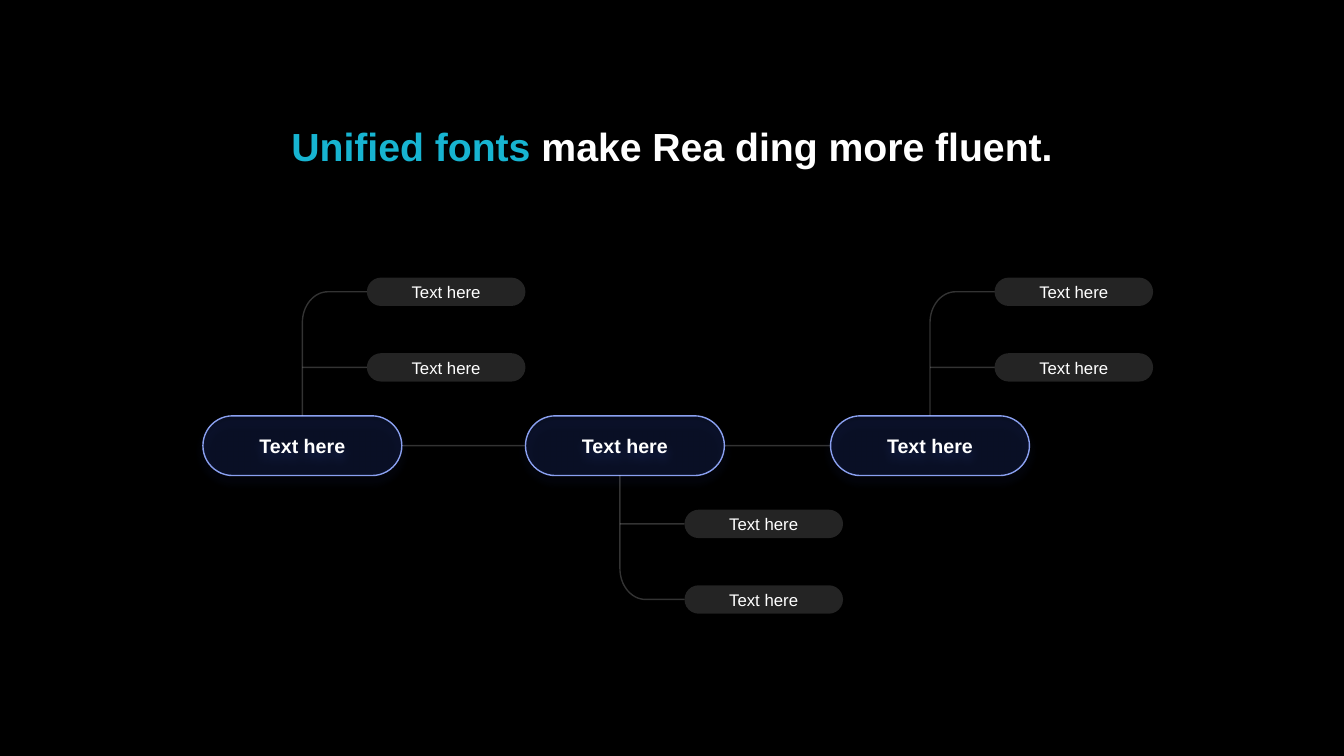
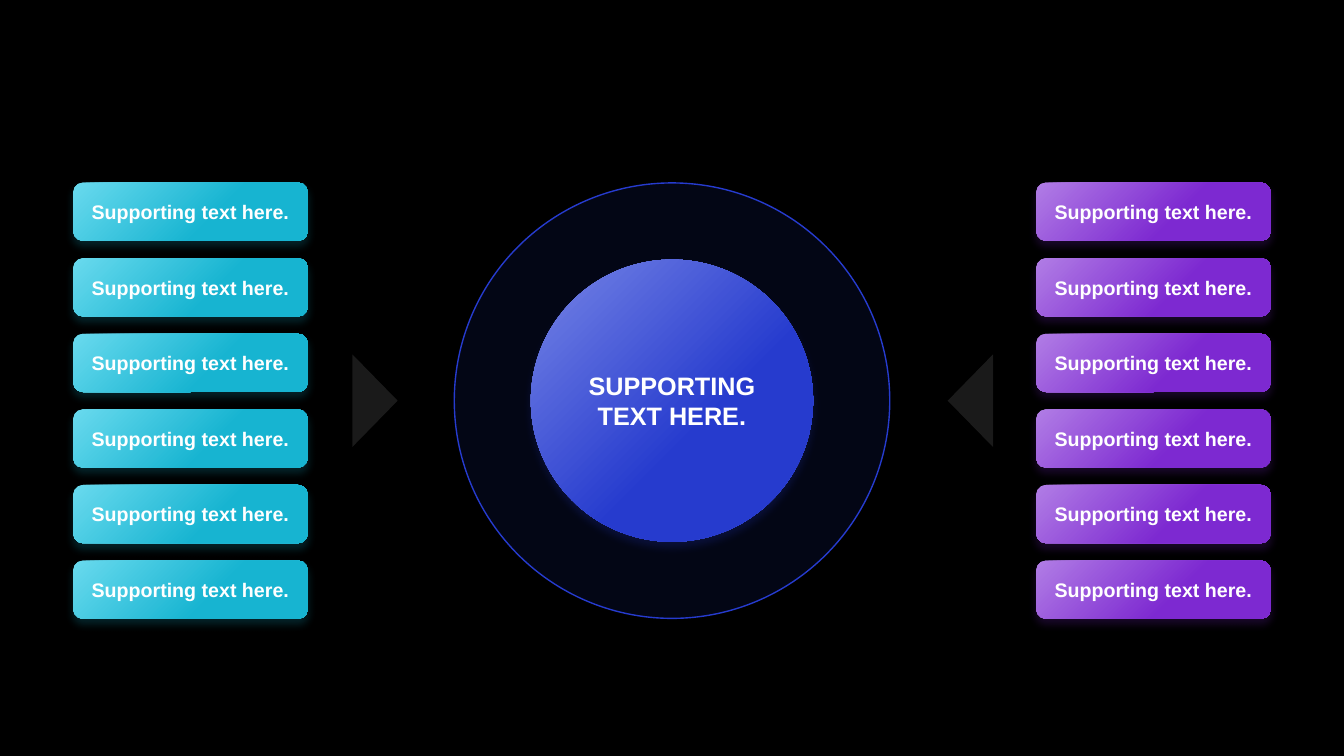
from math import cos, pi, sin

from lxml.etree import SubElement
from pptx import Presentation
from pptx.dml.color import RGBColor
from pptx.enum.shapes import MSO_CONNECTOR as LINE, MSO_SHAPE as SHAPE
from pptx.enum.text import MSO_ANCHOR as ANCHOR, MSO_AUTO_SIZE as AUTOSIZE
from pptx.enum.text import PP_ALIGN as ALIGN
from pptx.oxml.ns import qn
from pptx.util import Inches, Pt

# Shared style: lengths are percent of the slide's width (x) and height (y)
W, H = Inches(13.333), Inches(7.5)
FONT = "Arial"
BLACK, WHITE = "000000", "FFFFFF"
NAVY, OUTLINE = "395DDB", "8AA0F0"
CYAN, BLUE, PURPLE = ("69DAEE", "17B4D1"), ("7886E6", "263BCE"), ("B17DE5", "7D29D1")
TITLE = dict(size=Pt(28), bold=True)
NODE_TEXT = dict(size=Pt(14), bold=True)
PILL_TEXT = dict(size=Pt(12))
CORE_TEXT = dict(size=Pt(18), bold=True)
STEP = 10  # row distance of pills and tiles


def rgb(color):
    return RGBColor.from_string(color)


def px(x):
    return round(W * x / 100)


def py(y):
    return round(H * y / 100)


def centred(cx, cy, w, h):
    return cx - w / 2, cy - h / 2, w, h


def place(sp, box):
    x, y, w, h = box
    values = dict(left=px(x), top=py(y), width=px(w), height=py(h))
    for name, value in values.items():
        setattr(sp, name, value)


# Fills, lines and shadows
def set_alpha(el, percent):
    for clr in el.iter(qn("a:srgbClr")):
        SubElement(clr, qn("a:alpha"), val=str(percent * 1000))


def tint(sp, color, percent):
    sp.fill.solid()
    sp.fill.fore_color.rgb = rgb(color)
    set_alpha(sp._element.spPr.find(qn("a:solidFill")), percent)


def gradient(sp, colors):
    sp.fill.gradient()
    sp.fill.gradient_angle = 315
    for stop, color, position in zip(sp.fill.gradient_stops, colors, (0, 0.6)):
        stop.color.rgb = rgb(color)
        stop.position = position


def stroke(sp, color, percent=100):
    sp.line.width = Pt(1)
    sp.line.color.rgb = rgb(color)
    if percent < 100:
        set_alpha(sp._element.spPr.find(qn("a:ln")), percent)


def glow(sp, color):
    effects = sp._element.spPr.find(qn("a:effectLst"))
    shadow = SubElement(effects, qn("a:outerShdw"), blurRad=str(Pt(6)),
                        dist=str(Pt(4)), dir="5400000", algn="t", rotWithShape="0")
    SubElement(shadow, qn("a:srgbClr"), val=color)
    set_alpha(shadow, 20)


# Text
def add_run(p, text, style, color=WHITE):
    r = p.add_run()
    r.text = text
    for name, value in dict(style, name=FONT).items():
        setattr(r.font, name, value)
    r.font.color.rgb = rgb(color)


def write(sp, text, style, wrap=True, inset=None):
    tf = sp.text_frame
    tf.word_wrap = wrap
    tf.vertical_anchor = ANCHOR.MIDDLE
    if inset is not None:
        for side in ("left", "top", "right", "bottom"):
            setattr(tf, f"margin_{side}", inset)
    p = tf.paragraphs[0]
    p.alignment = ALIGN.CENTER
    add_run(p, text, style)


def add_title(slide, box, parts):
    sp = slide.shapes.title
    place(sp, box)
    tf = sp.text_frame
    tf.auto_size = AUTOSIZE.NONE
    tf.vertical_anchor = ANCHOR.MIDDLE
    p = tf.paragraphs[0]
    p.alignment = ALIGN.CENTER
    for text, color in parts:
        add_run(p, text, TITLE, color)


# Elements
def add_plain(slide, kind, box):
    sp = slide.shapes.add_shape(kind, 0, 0, 0, 0)
    place(sp, box)
    sp.shadow.inherit = False
    sp.line.fill.background()
    return sp


def add_link(slide, x1, y1, x2, y2):
    sp = slide.shapes.add_connector(LINE.STRAIGHT, px(x1), py(y1), px(x2), py(y2))
    stroke(sp, WHITE, 20)
    SubElement(sp._element.spPr, qn("a:effectLst"))


def add_node(slide, box, text):
    sp = add_plain(slide, SHAPE.ROUNDED_RECTANGLE, box)
    sp.adjustments[0] = 0.5
    tint(sp, NAVY, 15)
    stroke(sp, OUTLINE)
    glow(sp, NAVY)
    write(sp, text, NODE_TEXT)


def add_pill(slide, x, cy, text):
    w, h = 11.8, 3.76
    sp = add_plain(slide, SHAPE.ROUNDED_RECTANGLE, (x, cy - h / 2, w, h))
    sp.adjustments[0] = 0.5
    tint(sp, WHITE, 14)
    write(sp, text, PILL_TEXT, inset=0)


def add_elbow(slide, x, y, end_x, end_y):
    """Vertical line that bends through a rounded corner to the right."""
    rx, ry = 1.9, 4.1 if end_y > y else -4.1
    steps = 16
    angles = [pi / 2 * i / steps for i in range(steps + 1)]
    points = [(x + rx * (1 - cos(a)), end_y - ry * (1 - sin(a))) for a in angles]
    points.append((end_x, end_y))
    builder = slide.shapes.build_freeform(px(x), py(y))
    builder.add_line_segments([(px(a), py(b)) for a, b in points], close=False)
    sp = builder.convert_to_shape()
    sp.shadow.inherit = False
    sp.fill.background()
    stroke(sp, WHITE, 20)


def add_branch(slide, trunk, start, near, far, text):
    pill_x = trunk + 4.8
    add_elbow(slide, trunk, start, pill_x, far)
    add_link(slide, trunk, near, pill_x, near)
    for cy in (near, far):
        add_pill(slide, pill_x, cy, text)


def add_tile(slide, box, text, colors):
    sp = add_plain(slide, SHAPE.ROUNDED_RECTANGLE, box)
    gradient(sp, colors)
    glow(sp, colors[1])
    write(sp, text, NODE_TEXT, wrap=False)


def add_pointer(slide, cx, cy, rotation):
    sp = add_plain(slide, SHAPE.ISOSCELES_TRIANGLE, centred(cx, cy, 6.9, 6))
    sp.rotation = rotation
    tint(sp, WHITE, 10)


# Slides
def build_chain(prs):
    slide = prs.slides.add_slide(prs.slide_layouts[5])
    add_title(slide, centred(50, 19.3, 66.7, 7.6),
              [("Unified fonts ", CYAN[1]), ("make Rea ding more fluent.", WHITE)])
    label = "Text here"
    top, w, h = 55, 14.8, 7.9
    bottom, middle = top + h, top + h / 2
    nodes = (15.1, 39.1, 61.8)
    for x, following in zip(nodes, nodes[1:]):
        add_link(slide, x + w, middle, following, middle)
    for x in nodes:
        add_node(slide, (x, top, w, h), label)
    # Branches above the outer nodes and below the middle one
    above, below = 48.6, 69.3
    for trunk in (22.5, 69.2):
        add_branch(slide, trunk, top, above, above - STEP, label)
    add_branch(slide, 46.13, bottom, below, below + STEP, label)


def build_convergence(prs):
    slide = prs.slides.add_slide(prs.slide_layouts[6])
    cy = 53
    # Ring and core
    ring = add_plain(slide, SHAPE.OVAL, centred(50, cy, 32.4, 57.6))
    tint(ring, BLUE[1], 10)
    stroke(ring, BLUE[1])
    core = add_plain(slide, SHAPE.OVAL, centred(50, cy, 21, 37.33))
    gradient(core, BLUE)
    glow(core, BLUE[1])
    write(core, "SUPPORTING TEXT HERE.", CORE_TEXT)
    # Mirrored columns of tiles with pointers
    margin, w, h, rows = 5.45, 17.45, 7.7, 6
    top = cy - ((rows - 1) * STEP + h) / 2
    sides = ((margin, CYAN, 27.9, 90), (100 - margin - w, PURPLE, 72.2, 270))
    for x, colors, pointer_x, rotation in sides:
        add_pointer(slide, pointer_x, cy, rotation)
        for row in range(rows):
            add_tile(slide, (x, top + row * STEP, w, h),
                     "Supporting text here.", colors)


def main():
    prs = Presentation()
    prs.slide_width, prs.slide_height = W, H
    background = prs.slide_master.background.fill
    background.solid()
    background.fore_color.rgb = rgb(BLACK)
    build_chain(prs)
    build_convergence(prs)
    prs.save("out.pptx")


if __name__ == "__main__":
    main()
